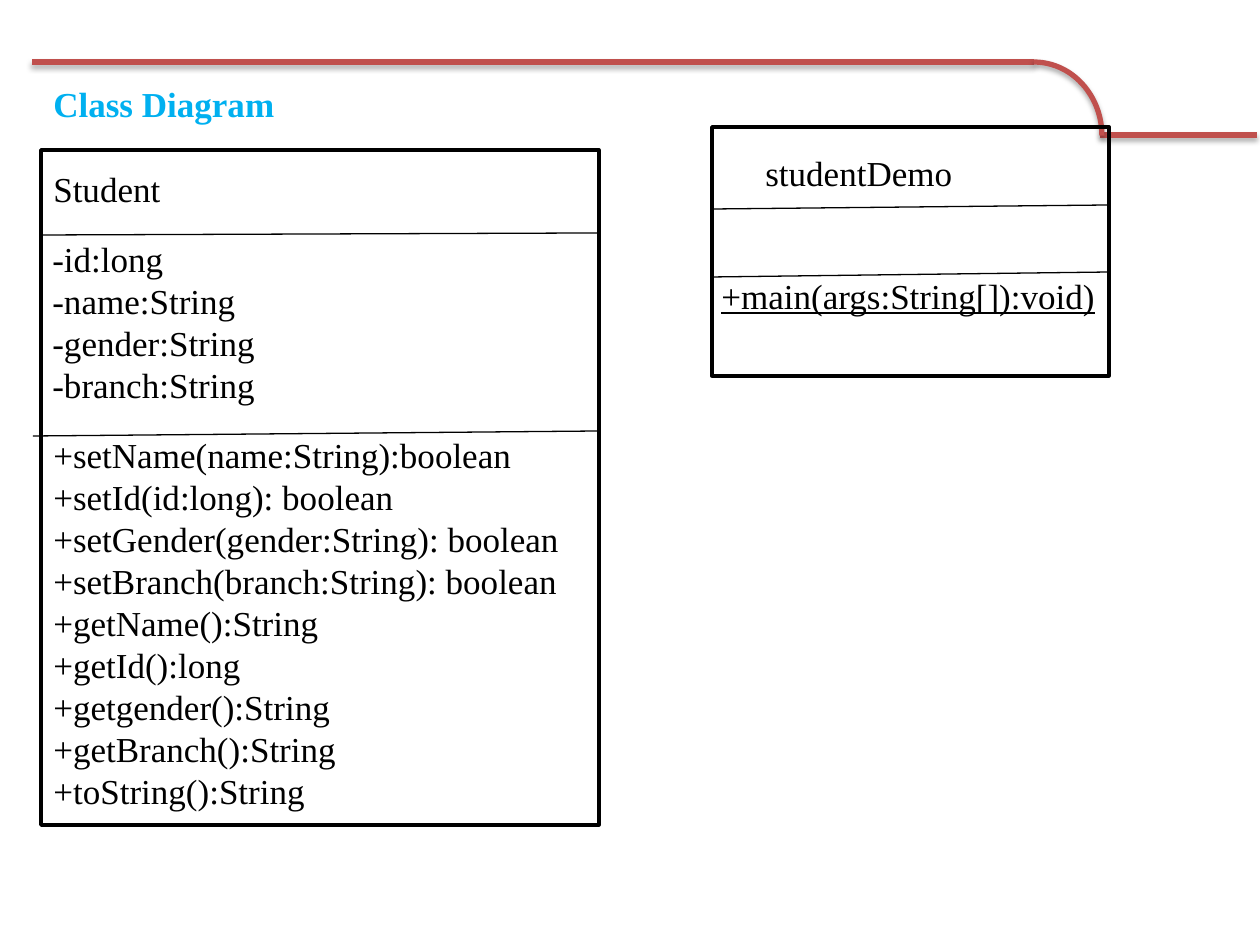
from dataclasses import dataclass

from lxml import etree
from pptx import Presentation
from pptx import util as u
from pptx.dml.color import RGBColor
from pptx.enum import shapes, text
from pptx.oxml.ns import qn

TITLE = ("Class Diagram", (41, 58, 380, 91))

# Boxes and text: left, top, width, height; lines: x1, y1, x2, y2
CLASSES = [
    {
        "box": (41, 150, 558, 675),
        "rules": [(41, 235, 599, 233), (33, 436, 599, 431)],
        "parts": [
            ((41, 161, 343, 55), ["Student"], False),
            ((40, 231, 266, 224),
             ["-id:long", "-name:String", "-gender:String", "-branch:String"],
             False),
            ((41, 427, 558, 437),
             ["+setName(name:String):boolean",
              "+setId(id:long): boolean",
              "+setGender(gender:String): boolean",
              "+setBranch(branch:String): boolean",
              "+getName():String",
              "+getId():long",
              "+getgender():String",
              "+getBranch():String",
              "+toString():String"], False),
        ],
    },
    {
        "box": (712, 127, 397, 249),
        "rules": [(713, 209, 1109, 205), (714, 277, 1109, 272)],
        "parts": [
            ((753, 145, 278, 55), ["studentDemo"], False),
            ((709, 268, 490, 55), ["+main(args:String[]):void)"], True),
        ],
    },
]

BANDS = [(1100, 135, 1257, 135), (1034, 62, 32, 62)]
CURVE = (966, 62, 136, 147)


@dataclass(frozen=True)
class Theme:
    font: str = "Times New Roman"
    size: int = 20
    ink: str = "000000"
    title: str = "00B0F0"
    band: str = "C0504D"
    thin: float = 0.75
    edge: int = 2
    thick: int = 3


THEME = Theme()
SCALE = u.Inches(1) // 126


def emu(box):
    return [n * SCALE for n in box]


def color(code):
    return RGBColor.from_string(code)


def stroke(item, code, width):
    item.line.color.rgb = color(code)
    item.line.width = u.Pt(width)


def shade(effects):
    """Put a soft shadow below a band."""
    cast = etree.SubElement(
        effects, qn("a:outerShdw"), blurRad=str(u.Pt(3.1)),
        dist=str(u.Pt(1.8)), dir="5400000", rotWithShape="0")
    tint = etree.SubElement(cast, qn("a:srgbClr"), val=THEME.ink)
    etree.SubElement(tint, qn("a:alpha"), val="35000")


def add_line(slide, ends, code, width):
    """Draw a line and return its empty effect list."""
    line = slide.shapes.add_connector(
        shapes.MSO_CONNECTOR.STRAIGHT, *emu(ends))
    stroke(line, code, width)
    return etree.SubElement(line._element.spPr, qn("a:effectLst"))


def add_shape(slide, kind, box, code, width):
    shape = slide.shapes.add_shape(kind, *emu(box))
    shape.shadow.inherit = False
    shape.fill.background()
    stroke(shape, code, width)
    return shape


def add_text(slide, box, lines, code, bold=False, under=False):
    frame = slide.shapes.add_textbox(*emu(box)).text_frame
    frame.word_wrap = True
    frame.text = "\n".join(lines)
    for para in frame.paragraphs:
        font = para.font
        font.name, font.size = THEME.font, u.Pt(THEME.size)
        font.bold, font.underline = bold, under
        font.color.rgb = color(code)
    return frame


def add_bands(slide):
    kind = shapes.MSO_SHAPE
    for ends in BANDS:
        shade(add_line(slide, ends, THEME.band, THEME.thick))
    arc = add_shape(slide, kind.ARC, CURVE, THEME.band, THEME.thick)
    shade(arc._element.spPr.find(qn("a:effectLst")))


def add_class(slide, item):
    kind = shapes.MSO_SHAPE.RECTANGLE
    add_shape(slide, kind, item["box"], THEME.ink, THEME.edge)
    for ends in item["rules"]:
        add_line(slide, ends, THEME.ink, THEME.thin)
    for box, lines, under in item["parts"]:
        add_text(slide, box, lines, THEME.ink, under=under)


def main():
    deck = Presentation()
    deck.slide_width, deck.slide_height = u.Inches(10), u.Inches(7.5)
    slide = deck.slides.add_slide(deck.slide_layouts[6])
    add_bands(slide)
    words, box = TITLE
    frame = add_text(slide, box, [words], THEME.title, bold=True)
    frame.vertical_anchor = text.MSO_ANCHOR.MIDDLE
    for item in CLASSES:
        add_class(slide, item)
    deck.save("out.pptx")


if __name__ == "__main__":
    main()
